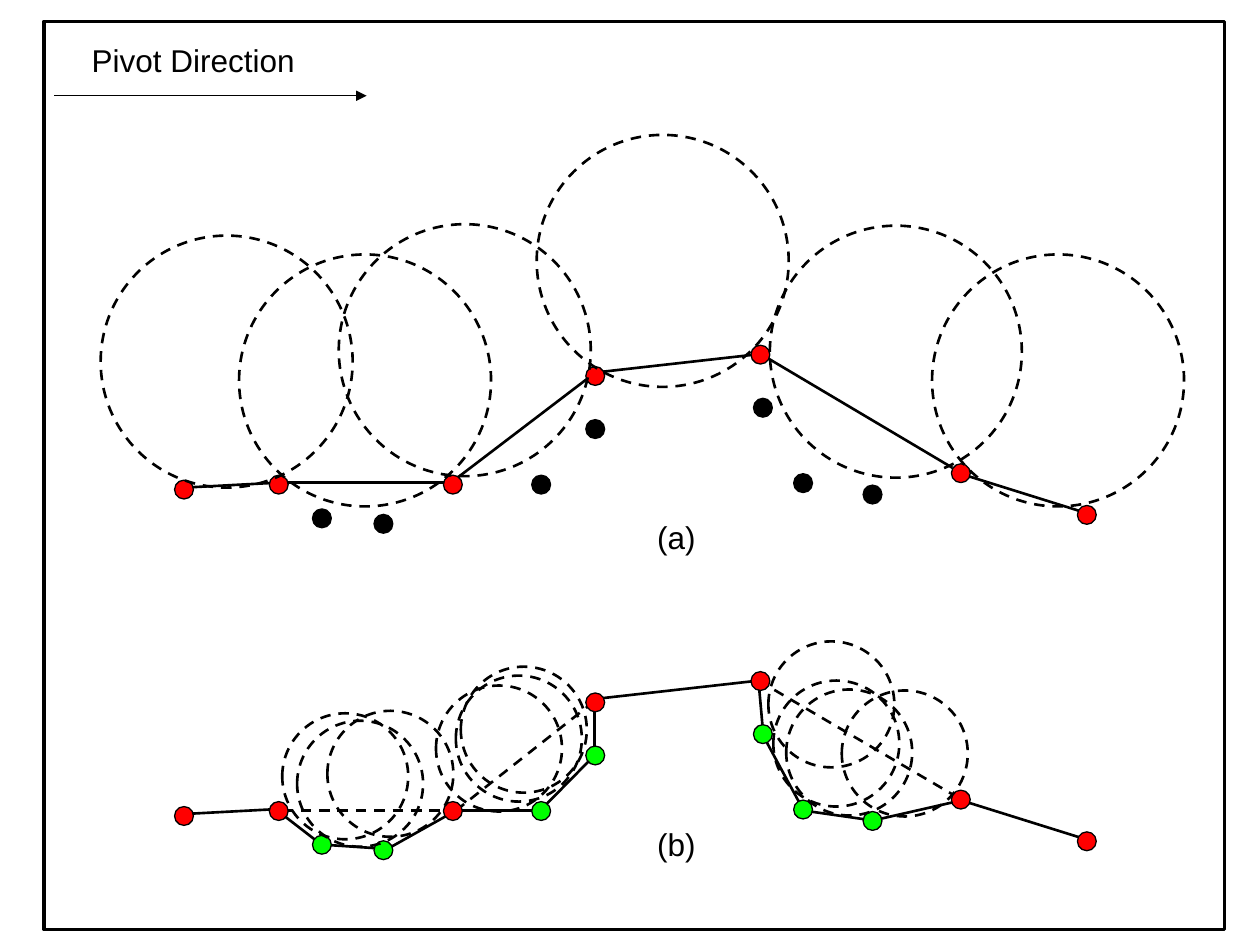
from dataclasses import dataclass
from itertools import pairwise

from lxml import etree
from pptx import Presentation
from pptx import util as u
from pptx.dml import color
from pptx.enum import dml, shapes, text
from pptx.oxml import ns


@dataclass(frozen=True)
class Theme:
    ink: str = "000000"
    hull: str = "FF0000"
    found: str = "00FF00"
    font: str = "Arial"
    size: float = 18
    thin: float = 0.75
    line: float = 1.5
    edge: float = 2
    dot: float = 0.38


T = Theme()

HULL = [(1.68, 7.15), (3.59, 7.05), (7.1, 7.05), (9.97, 4.86),
        (13.3, 4.43), (17.34, 6.82), (19.88, 7.66)]
INNER = [(4.46, 7.73), (5.7, 7.84), (8.88, 7.05), (9.97, 5.93),
         (13.35, 5.5), (14.16, 7.02), (15.56, 7.25)]
SHARED = [((9.88, 4.8), (13.26, 4.42)), ((17.27, 6.81), (19.86, 7.62)),
          ((1.68, 7.11), (3.56, 7.01))]

COARSE = [((13.26, 4.39), (17.17, 6.71)), ((3.56, 7.01), (7.06, 7.01)),
          ((9.96, 4.8), (7.06, 7.01))]
LARGE = [(0, 2.03), (2.79, 2.41), (4.8, 1.8), (13.49, 1.83),
         (8.79, 0), (16.76, 2.41)]

GAPS = [((3.66, 7.04), (7.06, 7.04)), ((7.16, 7.04), (9.96, 4.83)),
        ((13.26, 4.42), (17.37, 6.83))]
VALLEY = [(13.26, 4.42), (13.36, 5.54), (14.17, 7.04), (15.57, 7.24),
          (17.37, 6.83)]
FINE = [*pairwise(VALLEY),
        ((7.06, 7.04), (8.97, 7.04)), ((8.86, 7.04), (10.06, 5.82)),
        ((9.96, 4.83), (9.96, 6.02)), ((5.77, 7.82), (7.16, 7.04)),
        ((4.37, 7.72), (5.87, 7.82)), ((3.56, 7.04), (4.57, 7.82))]
SMALL = [(3.66, 5.08), (3.96, 5.23), (4.57, 5.03), (6.76, 4.52),
         (7.16, 4.32), (7.26, 4.14), (13.46, 3.63), (13.56, 4.42),
         (13.82, 4.6), (14.94, 4.62)]


def rgb(code):
    return color.RGBColor.from_string(code)


def ink(line, width, dash=False):
    line.color.rgb = rgb(T.ink)
    line.width = u.Pt(width)
    if dash:
        line.dash_style = dml.MSO_LINE.DASH


def shape(host, kind, x, y, w, h, width, fill=None, dash=False):
    item = host.add_shape(kind, u.Cm(x), u.Cm(y), u.Cm(w), u.Cm(h))
    item.shadow.inherit = False
    if fill:
        item.fill.solid()
        item.fill.fore_color.rgb = rgb(fill)
    else:
        item.fill.background()
    ink(item.line, width, dash)


def line(host, x, y, start, end, width, dash=False):
    item = host.add_connector(
        shapes.MSO_CONNECTOR.STRAIGHT,
        u.Cm(x + start[0]), u.Cm(y + start[1]),
        u.Cm(x + end[0]), u.Cm(y + end[1]))
    ink(item.line, width, dash)
    etree.SubElement(item._element.spPr, ns.qn("a:effectLst"))
    return item


def label(host, words, x, y, w):
    box = host.add_textbox(u.Cm(x), u.Cm(y), u.Cm(w), u.Cm(1.02))
    frame = box.text_frame
    frame.word_wrap = True
    frame.auto_size = text.MSO_AUTO_SIZE.SHAPE_TO_FIT_TEXT
    run = frame.paragraphs[0].add_run()
    run.text = words
    run.font.name = T.font
    run.font.size = u.Pt(T.size)
    run.font.color.rgb = rgb(T.ink)


def border(host, x, y, w, h):
    shape(host, shapes.MSO_SHAPE.RECTANGLE, x, y, w, h, T.edge)
    arrow = line(host, x, y, (0.2, 1.5), (6.5, 1.5), T.thin)
    etree.SubElement(arrow.line._get_or_add_ln(), ns.qn("a:tailEnd"),
                     type="triangle")
    label(host, "Pivot Direction", x + 0.71, y + 0.28, 5.69)


def panel(host, x, y, name, drop, edges, gaps, balls, size, fill):
    group = host.add_group_shape().shapes
    oval = shapes.MSO_SHAPE.OVAL
    for start, end in gaps:
        line(group, x, y, start, end, T.line, dash=True)
    for start, end in SHARED + edges:
        line(group, x, y, start, end, T.line)
    for dots, tone in ((HULL, T.hull), (INNER, fill)):
        for dx, dy in dots:
            shape(group, oval, x + dx - T.dot / 2, y + dy - T.dot / 2,
                  T.dot, T.dot, T.thin, tone)
    for dx, dy in balls:
        shape(group, oval, x + dx, y + dy, size, size, T.line, dash=True)
    label(group, name, x + 10.97, y + drop, 3.1)


def main():
    deck = Presentation()
    deck.slide_width, deck.slide_height = u.Cm(25.4), u.Cm(19.05)
    host = deck.slides.add_slide(deck.slide_layouts[6]).shapes
    border(host, 0.89, 0.43, 23.8, 18.31)
    panel(host, 2.03, 2.72, "(a)", 7.59, COARSE, [], LARGE, 5.08, T.ink)
    panel(host, 2.03, 9.3, "(b)", 7.21, FINE, GAPS, SMALL, 2.54, T.found)
    deck.save("out.pptx")


if __name__ == "__main__":
    main()
